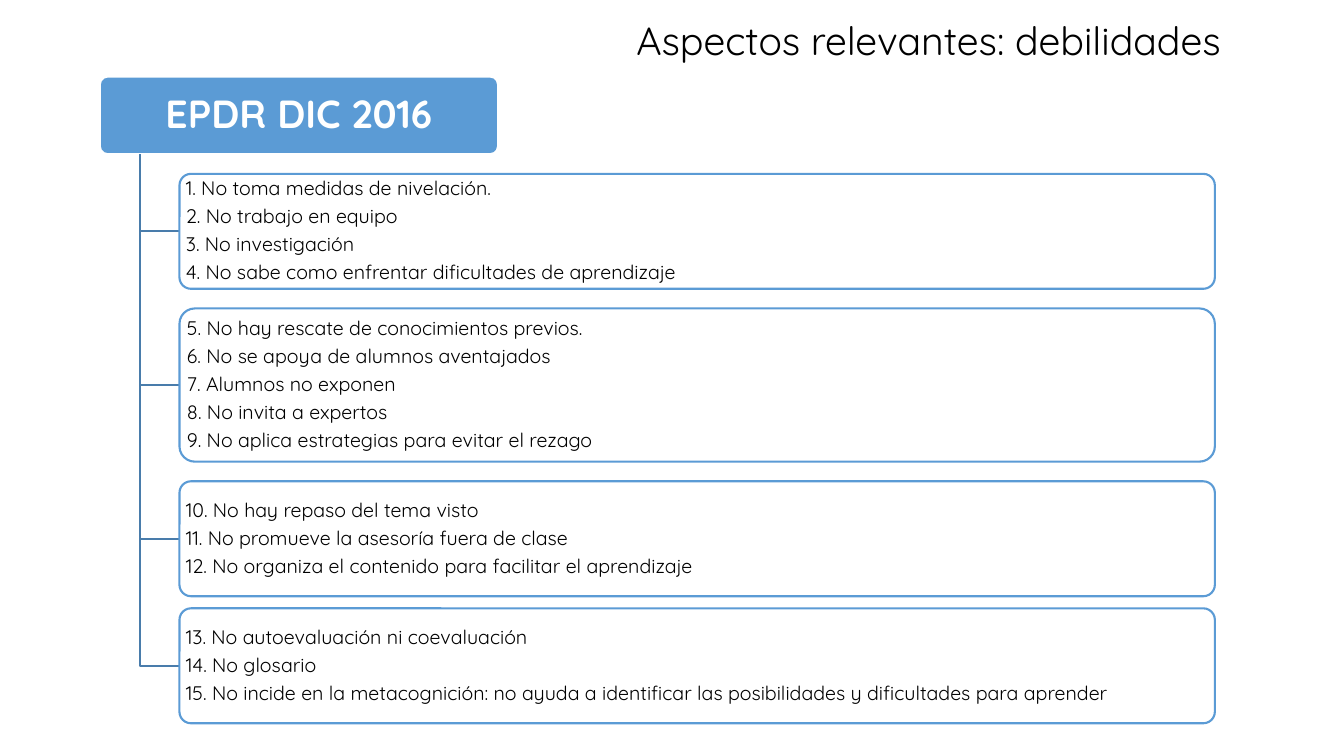
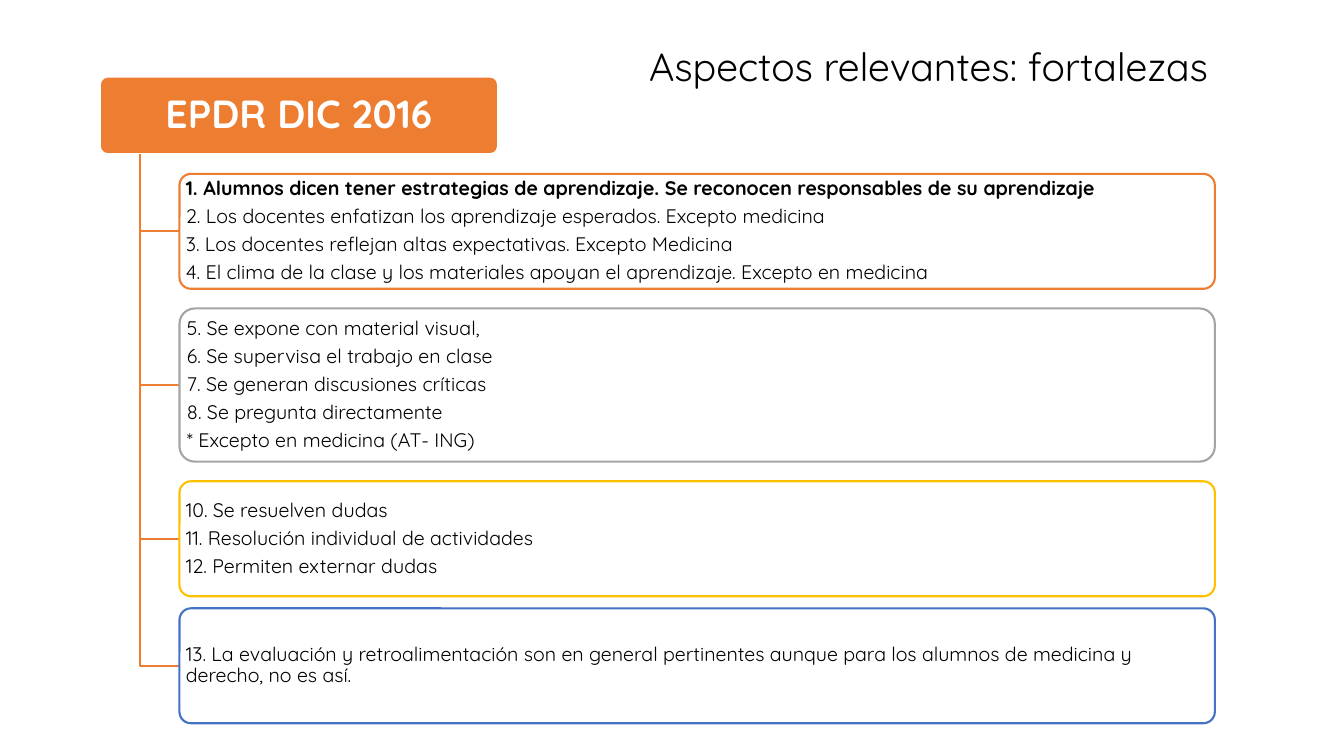
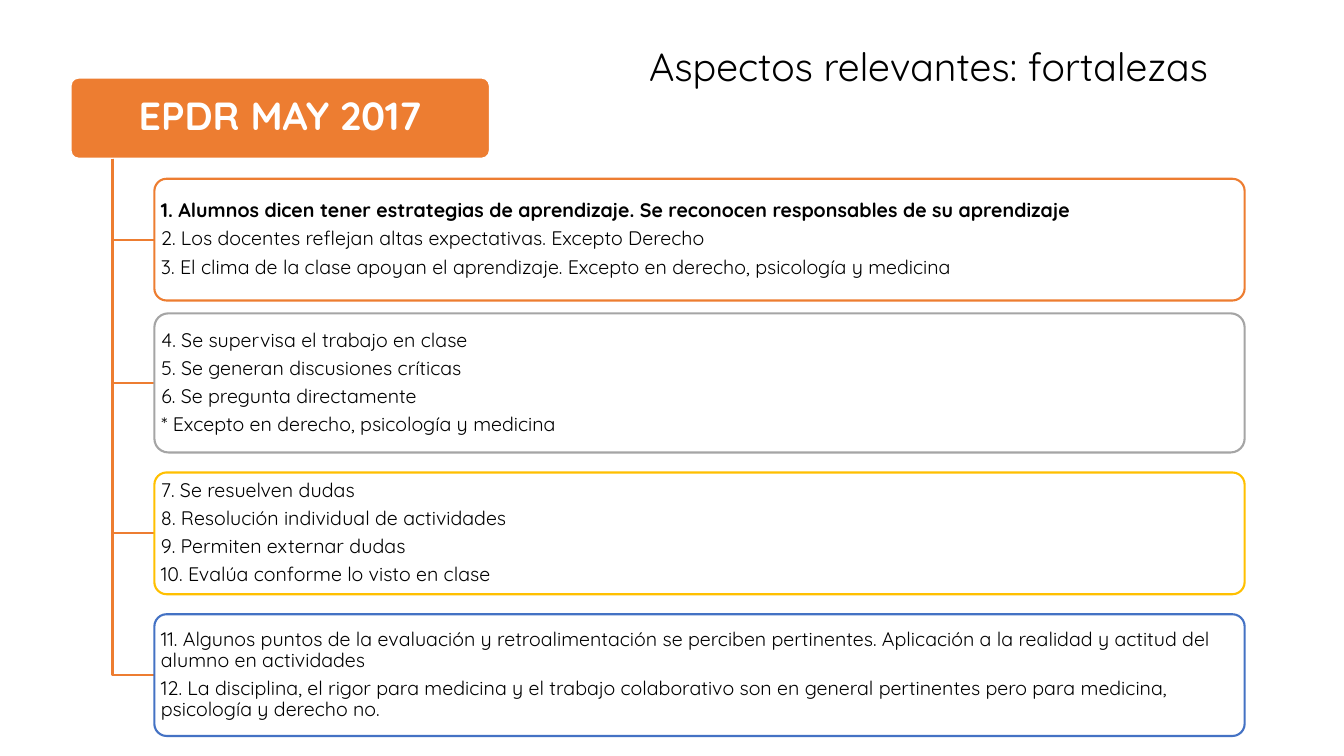
from pptx import Presentation
from pptx.dml.color import RGBColor
from pptx.enum.shapes import MSO_SHAPE
from pptx.enum.text import MSO_ANCHOR, PP_ALIGN
from pptx.util import Inches, Pt

ROUNDED = MSO_SHAPE.ROUNDED_RECTANGLE
TOP, MIDDLE = MSO_ANCHOR.TOP, MSO_ANCHOR.MIDDLE
LEFT, CENTER = PP_ALIGN.LEFT, PP_ALIGN.CENTER

BLACK = RGBColor(0x00, 0x00, 0x00)
WHITE = RGBColor(0xFF, 0xFF, 0xFF)
BLUE = RGBColor(0x5B, 0x9B, 0xD5)
STEEL = RGBColor(0x49, 0x7C, 0xAB)
ORANGE = RGBColor(0xED, 0x7D, 0x31)
GRAY = RGBColor(0xA5, 0xA5, 0xA5)
GOLD = RGBColor(0xFF, 0xC0, 0x00)
INDIGO = RGBColor(0x44, 0x72, 0xC4)

DECEMBER = {
    "head": (7.43, 10.13, 29.63, 10.27),
    "rows": [(2.6, 15.2), (2.6, 20.27), (2.6, 15.2), (1.6, 15.2)],
}
MAY = {
    "head": (5.25, 10.27, 31.2, 10.73),
    "rows": [(2.65, 16.1), (1.7, 18.4), (2.65, 16.1), (2.65, 16.1)],
}
STRENGTH_COLORS = [ORANGE, GRAY, GOLD, INDIGO]

WEAKNESSES = [
    ["1. No toma medidas de nivelación.",
     "2. No trabajo en equipo",
     "3. No investigación",
     "4. No sabe como enfrentar dificultades de aprendizaje"],
    ["5. No hay rescate de conocimientos previos.",
     "6. No se apoya de alumnos aventajados",
     "7. Alumnos no exponen",
     "8. No invita a expertos",
     "9. No aplica estrategias para evitar el rezago"],
    ["10. No hay repaso del tema visto",
     "11. No promueve la asesoría fuera de clase",
     "12. No organiza el contenido para facilitar el aprendizaje"],
    ["13. No autoevaluación ni coevaluación",
     "14. No glosario",
     "15. No incide en la metacognición: no ayuda a identificar las "
     "posibilidades y dificultades para aprender"],
]
LEAD_STRENGTH = ("1. Alumnos dicen tener estrategias de aprendizaje. "
                 "Se reconocen responsables de su aprendizaje")
DECEMBER_STRENGTHS = [
    [LEAD_STRENGTH,
     "2. Los docentes enfatizan los aprendizaje esperados. Excepto medicina",
     "3. Los docentes reflejan altas expectativas. Excepto Medicina",
     "4. El clima de la clase y los materiales apoyan el aprendizaje. "
     "Excepto en medicina"],
    ["5. Se expone con material visual,",
     "6. Se supervisa el trabajo en clase",
     "7. Se generan discusiones críticas",
     "8. Se pregunta directamente",
     "* Excepto en medicina (AT- ING)"],
    ["10. Se resuelven dudas",
     "11. Resolución individual de actividades",
     "12. Permiten externar dudas"],
    ["13. La evaluación y retroalimentación son en general pertinentes "
     "aunque para los alumnos de medicina y derecho, no es así."],
]
MAY_STRENGTHS = [
    [LEAD_STRENGTH,
     "2. Los docentes reflejan altas expectativas. Excepto Derecho",
     "3. El clima de la clase apoyan el aprendizaje. "
     "Excepto en derecho, psicología y medicina"],
    ["4. Se supervisa el trabajo en clase",
     "5. Se generan discusiones críticas",
     "6. Se pregunta directamente",
     "* Excepto en derecho, psicología y medicina"],
    ["7. Se resuelven dudas",
     "8. Resolución individual de actividades",
     "9. Permiten externar dudas",
     "10. Evalúa conforme lo visto en clase"],
    ["11. Algunos puntos de la evaluación y retroalimentación se perciben "
     "pertinentes. Aplicación a la realidad y actitud del alumno en "
     "actividades",
     "12. La disciplina, el rigor para medicina y el trabajo colaborativo "
     "son en general pertinentes pero para medicina, psicología y derecho "
     "no."],
]


class Deck:
    font_name = "Quicksand"
    large, small = 28, 14
    line_width = Pt(1.5)

    def __init__(self):
        self.deck = Presentation()
        self.deck.slide_width = Inches(13.33)
        self.deck.slide_height = Inches(7.5)
        self.slide = None

    def x(self, percent):
        return round(self.deck.slide_width * percent / 100)

    def y(self, percent):
        return round(self.deck.slide_height * percent / 100)

    def place(self, left, top, width, height):
        return self.x(left), self.y(top), self.x(width), self.y(height)

    def set_lines(self, frame, lines, size, color, align=LEFT, bold=(), after=0):
        frame.word_wrap = True
        for index, line in enumerate(lines):
            paragraph = frame.paragraphs[0] if index == 0 else frame.add_paragraph()
            paragraph.text = line
            paragraph.alignment = align
            paragraph.line_spacing = 0.9
            paragraph.space_after = Pt(after)
            paragraph.font.name = self.font_name
            paragraph.font.size = Pt(size)
            paragraph.font.bold = line in bold
            paragraph.font.color.rgb = color

    def add_slide(self, title, anchor=MIDDLE):
        self.slide = self.deck.slides.add_slide(self.deck.slide_layouts[6])
        heading = self.slide.shapes.add_textbox(*self.place(41.33, 2.93, 55.5, 12.4))
        frame = heading.text_frame
        frame.vertical_anchor = anchor
        frame.margin_top = frame.margin_bottom = 0
        self.set_lines(frame, [title], self.large, BLACK, CENTER)

    def panel(self, area, fill, outline, margins):
        panel = self.slide.shapes.add_shape(ROUNDED, *self.place(*area))
        panel.adjustments[0] = 0.1
        panel.shadow.inherit = False
        panel.fill.solid()
        panel.fill.fore_color.rgb = fill
        panel.line.color.rgb = outline
        panel.line.width = self.line_width
        frame = panel.text_frame
        frame.vertical_anchor = MIDDLE
        frame.margin_left = frame.margin_right = Inches(margins[0])
        frame.margin_top = frame.margin_bottom = Inches(margins[1])
        return frame

    def branch(self, trunk, start, end, tip, color):
        outline = self.slide.shapes.build_freeform(self.x(trunk), self.y(start))
        outline.add_line_segments(
            [(self.x(trunk), self.y(end)), (self.x(tip), self.y(end))], close=False)
        elbow = outline.convert_to_shape()
        elbow.shadow.inherit = False
        elbow.fill.background()
        elbow.line.color.rgb = color
        elbow.line.width = self.line_width

    def tree(self, period, grid, head_color, branch_color, colors, groups):
        left, top, width, height = grid["head"]
        head = self.panel(grid["head"], head_color, WHITE, (0.06, 0.04))
        self.set_lines(head, [period], self.large, WHITE, CENTER, [period], 9.8)
        trunk, group_left = left + 0.1 * width, left + 0.2 * width
        start = bottom = top + height
        for (gap, depth), color, lines in zip(grid["rows"], colors, groups):
            group_top = bottom + gap
            bottom = group_top + depth
            self.branch(trunk, start, group_top + depth / 2, group_left, branch_color)
            group = self.panel((group_left, group_top, 2.6 * width, depth),
                               WHITE, color, (0.03, 0.02))
            self.set_lines(group, lines, self.small, BLACK,
                           bold=[LEAD_STRENGTH], after=4.9)


def main():
    deck = Deck()
    deck.add_slide("Aspectos relevantes: debilidades", TOP)
    deck.tree("EPDR DIC 2016", DECEMBER, BLUE, STEEL, [BLUE] * 4, WEAKNESSES)
    for period, grid, strengths in (
        ("EPDR DIC 2016", DECEMBER, DECEMBER_STRENGTHS),
        ("EPDR MAY 2017", MAY, MAY_STRENGTHS),
    ):
        deck.add_slide("Aspectos relevantes: fortalezas")
        deck.tree(period, grid, ORANGE, ORANGE, STRENGTH_COLORS, strengths)
    deck.deck.save("out.pptx")


if __name__ == "__main__":
    main()
